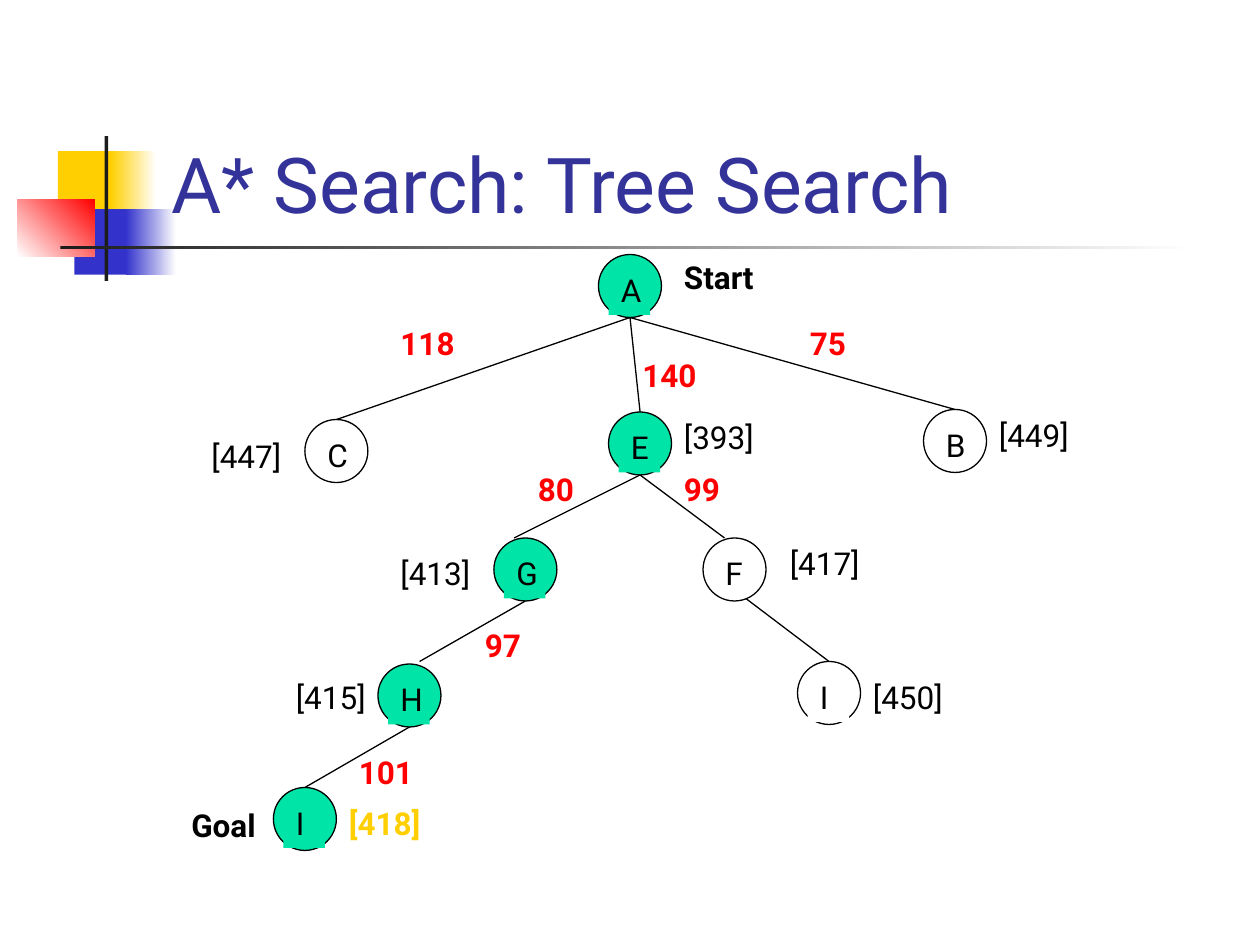
import pptx
import pptx.util
import pptx.dml.color
import pptx.enum.shapes
import pptx.enum.text
import pptx.oxml

Inches = pptx.util.Inches
RGB = pptx.dml.color.RGBColor
SHAPE = pptx.enum.shapes.MSO_SHAPE
ANCHOR = pptx.enum.text.MSO_ANCHOR

BLACK = RGB(0x00, 0x00, 0x00)
WHITE = RGB(0xFF, 0xFF, 0xFF)
RED = RGB(0xFF, 0x00, 0x00)
GOLD = RGB(0xFF, 0xCF, 0x01)
BLUE = RGB(0x33, 0x33, 0xCC)
NAVY = RGB(0x33, 0x33, 0x99)
DARK = RGB(0x1C, 0x1C, 0x1C)
GREEN = RGB(0x00, 0xE4, 0xA8)

FONT = "Roboto"
TITLE = "A* Search: Tree Search"
SIZE = 0.5
INSET = 0.08

DECOR = [
    ((0.46, 1.2, 0.48, 0.52), (GOLD,), 0),
    ((0.88, 1.2, 0.36, 0.52), (GOLD, WHITE), 0),
    ((0.59, 1.66, 0.46, 0.52), (BLUE,), 0),
    ((1, 1.66, 0.4, 0.52), (BLUE, WHITE), 0),
    ((0.14, 1.58, 0.61, 0.46), (WHITE, RED), 45),
    ((0.83, 1.08, 0.03, 1.15), (DARK,), 0),
    ((0.48, 1.95, 9, 0.03), (DARK, WHITE), 0),
]

NODES = {
    "A": ("A", 4.75, 2.02, GREEN),
    "B": ("B", 7.33, 3.25, None),
    "C": ("C", 2.42, 3.33, None),
    "E": ("E", 4.83, 3.27, GREEN),
    "F": ("F", 5.58, 4.27, None),
    "G": ("G", 3.92, 4.27, GREEN),
    "H": ("H", 3, 5.27, GREEN),
    "goal": ("I", 2.17, 6.25, GREEN),
    "leaf": ("I", 6.33, 5.25, WHITE),
}

EDGES = [
    ("A", "B", (0, 0), (0, 0)),
    ("A", "E", (0, 0), (0, 0)),
    ("A", "C", (0, 0), (0, 0)),
    ("E", "F", (0, 0), (-0.08, 0)),
    ("E", "G", (0, 0), (-0.09, 0)),
    ("G", "H", (0, 0), (0.08, -0.02)),
    ("H", "goal", (0, 0), (0, 0)),
    ("F", "leaf", (0.09, -0.02), (0, 0)),
]

COSTS = [
    ("118", 3.08, 2.52),
    ("140", 5, 2.78),
    ("75", 6.33, 2.52),
    ("80", 4.17, 3.68),
    ("99", 5.33, 3.68),
    ("97", 3.75, 4.92),
    ("101", 2.75, 5.93),
]

TOTALS = [
    ("[393]", 5.33, 3.27),
    ("[449]", 7.83, 3.25),
    ("[447]", 1.58, 3.42),
    ("[417]", 6.17, 4.27),
    ("[413]", 3.08, 4.35),
    ("[415]", 2.25, 5.33),
    ("[450]", 6.83, 5.33),
]

ENDS = [("Start", 5.33, 2), ("Goal", 1.42, 6.35)]
FOUND = [("[418]", 2.67, 6.33)]

LABELS = [
    (COSTS, 0.83, RED, True),
    (TOTALS, 0.83, BLACK, False),
    (ENDS, 1.33, BLACK, True),
    (FOUND, 1, GOLD, True),
]


def add_text(shapes, text, box, color, size=18, bold=False):
    shape = shapes.add_textbox(*map(Inches, box))
    frame = shape.text_frame
    frame.word_wrap = True
    run = frame.paragraphs[0].add_run()
    run.text = text
    run.font.name = FONT
    run.font.size = pptx.util.Pt(size)
    run.font.bold = bold
    run.font.color.rgb = color
    return shape


def add_decor(shapes, box, colors, angle):
    shape = shapes.add_shape(SHAPE.RECTANGLE, *map(Inches, box))
    shape.shadow.inherit = False
    shape.line.fill.background()
    if len(colors) == 1:
        shape.fill.solid()
        shape.fill.fore_color.rgb = colors[0]
        return
    shape.fill.gradient()
    shape.fill.gradient_angle = angle
    for stop, color in zip(shape.fill.gradient_stops, colors):
        stop.color.rgb = color


def add_node(shapes, name, left, top, color):
    group = shapes.add_group_shape().shapes
    disc = group.add_shape(SHAPE.OVAL, *map(Inches, (left, top, SIZE, SIZE)))
    disc.shadow.inherit = False
    disc.line.color.rgb = BLACK
    disc.line.width = pptx.util.Pt(0.75)
    box = (left + INSET, top + INSET, 0.33, 0.4)
    label = add_text(group, name, box, BLACK)
    for shape in (disc, label):
        if color is None:
            shape.fill.background()
        else:
            shape.fill.solid()
            shape.fill.fore_color.rgb = color


def add_edge(shapes, parent, child, start, end):
    _, px, py, _ = NODES[parent]
    _, cx, cy, _ = NODES[child]
    half = SIZE / 2
    points = (px + half + start[0], py + SIZE + start[1],
              cx + half + end[0], cy + end[1])
    kind = pptx.enum.shapes.MSO_CONNECTOR.STRAIGHT
    line = shapes.add_connector(kind, *map(Inches, points))
    line.line.color.rgb = BLACK
    line.line.width = pptx.util.Pt(0.75)
    props = line._element.spPr
    props.append(pptx.oxml.parse_xml(
        '<a:effectLst xmlns:a="http://schemas.openxmlformats.org/drawingml/2006/main"/>'))


def main():
    deck = pptx.Presentation()
    deck.slide_width = Inches(10)
    deck.slide_height = Inches(7.5)
    shapes = deck.slides.add_slide(deck.slide_layouts[6]).shapes

    for item in DECOR:
        add_decor(shapes, *item)

    title = add_text(shapes, TITLE, (1.26, 0.23, 8.52, 1.6), NAVY, 44)
    title.text_frame.vertical_anchor = ANCHOR.BOTTOM
    title.text_frame.margin_bottom = Inches(0.01)

    for node in NODES.values():
        add_node(shapes, *node)
    for edge in EDGES:
        add_edge(shapes, *edge)
    for items, width, color, bold in LABELS:
        for text, left, top in items:
            add_text(shapes, text, (left, top, width, 0.4), color, bold=bold)

    deck.save("out.pptx")


if __name__ == "__main__":
    main()
